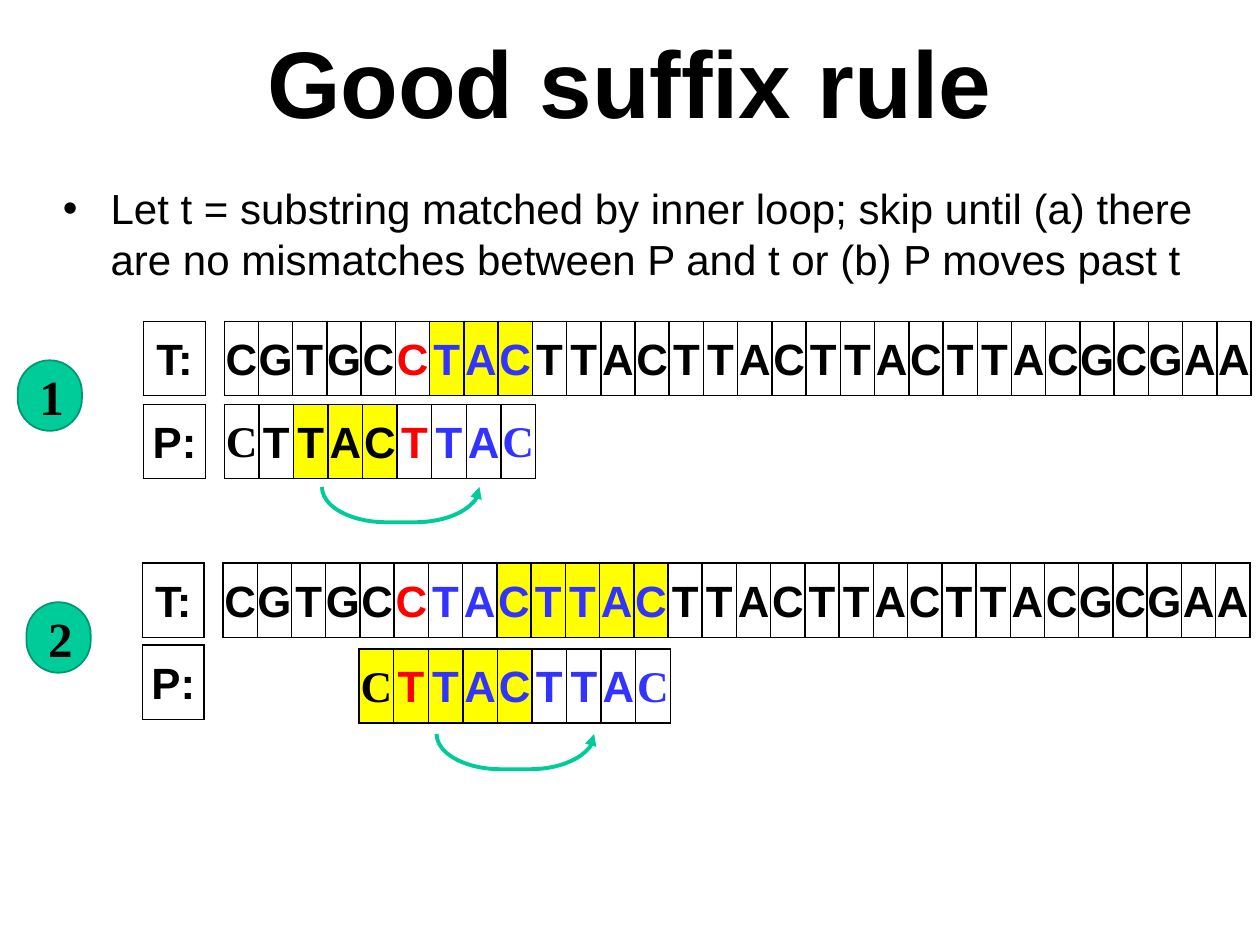
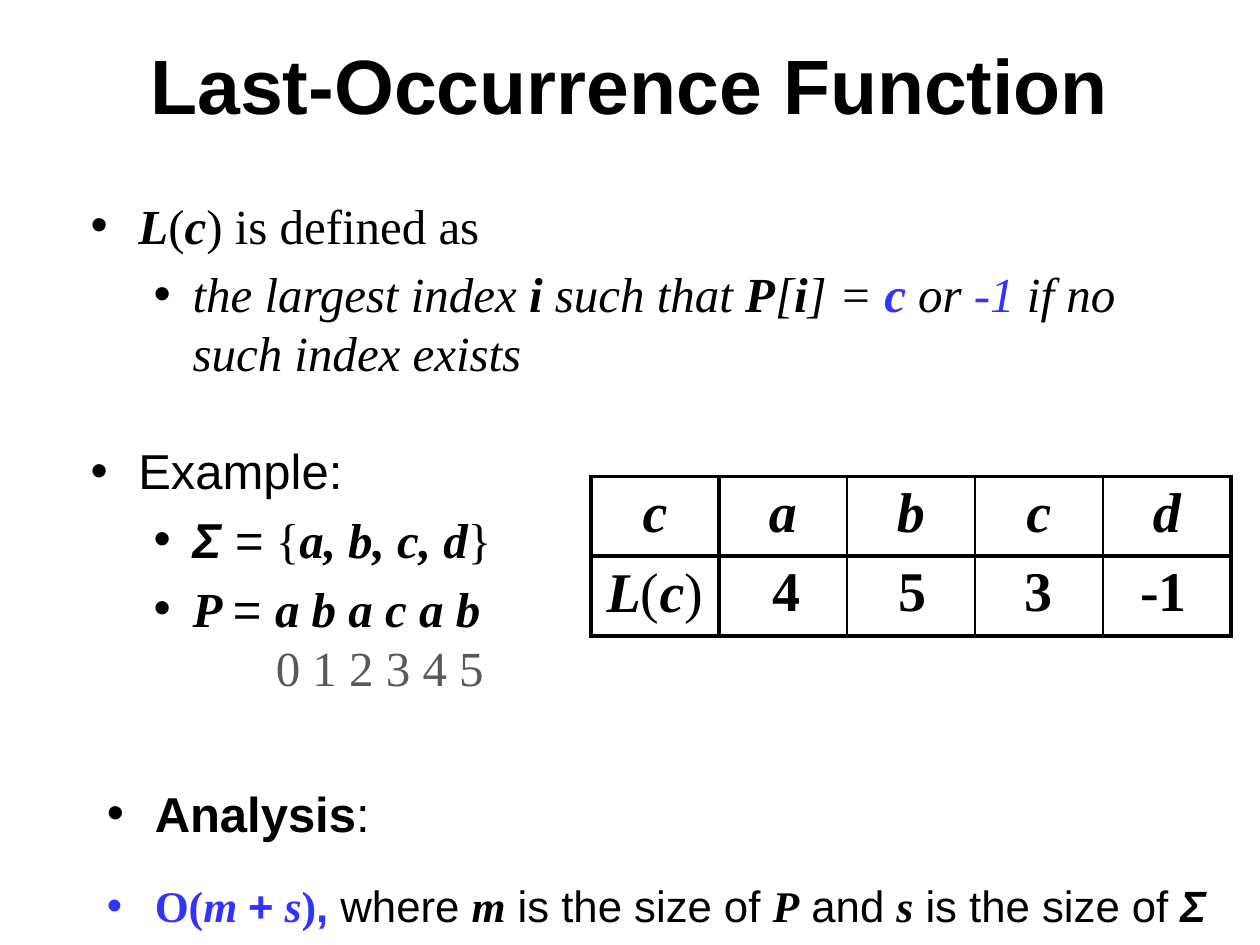
from dataclasses import dataclass

from lxml.etree import SubElement
from pptx import Presentation
from pptx.dml.color import RGBColor
from pptx.enum.shapes import MSO_SHAPE
from pptx.enum.text import MSO_ANCHOR, PP_ALIGN
from pptx.oxml import parse_xml
from pptx.oxml.ns import nsdecls, qn
from pptx.util import Inches, Pt


@dataclass(frozen=True)
class Theme:
    sans: str = "Arial"
    serif: str = "Times New Roman"
    black: str = "000000"
    red: str = "FF0000"
    blue: str = "3333FF"
    grey: str = "595959"
    yellow: str = "FFFF00"
    green: str = "00CC99"
    rim: str = "009771"
    head: int = 54
    title: int = 44
    value: int = 32
    body: int = 28
    small: int = 25
    note: int = 24
    thin: float = 1
    thick: float = 2.25


THEME = Theme()
# Bullet levels: left margin and first-line indent
LEVELS = [(0.38, -0.38), (0.81, -0.31)]


class Deck:
    def __init__(self, theme):
        self.theme = theme
        self.show = Presentation()
        self.show.slide_width, self.show.slide_height = Inches(10), Inches(7.5)
        # Letters used to mark the ink of a run or a table cell
        self.inks = {"k": theme.black, "r": theme.red,
                     "u": theme.blue, "g": theme.grey}

    def page(self):
        self.slide = self.show.slides.add_slide(self.show.slide_layouts[6])

    def style(self, run, size, marks=""):
        """Marks: b bold, i italic, s serif, and an ink letter."""
        font = run.font
        font.size, font.bold, font.italic = Pt(size), "b" in marks, "i" in marks
        font.name = self.theme.serif if "s" in marks else self.theme.sans
        ink = next((self.inks[m] for m in marks if m in self.inks),
                   self.theme.black)
        font.color.rgb = RGBColor.from_string(ink)

    def fill_in(self, para, parts, size):
        for text, marks in parts:
            run = para.add_run()
            run.text = text
            self.style(run, size, marks)

    def box(self, left, top, width, height, wrap=True):
        shape = self.slide.shapes.add_textbox(
            Inches(left), Inches(top), Inches(width), Inches(height))
        shape.text_frame.word_wrap = wrap
        return shape.text_frame

    def title(self, text, size, left, top, width, height):
        frame = self.box(left, top, width, height)
        frame.vertical_anchor = MSO_ANCHOR.MIDDLE
        frame.text = text
        para = frame.paragraphs[0]
        para.alignment = PP_ALIGN.CENTER
        self.style(para.runs[0], size, "b")

    def label(self, text, left, top, width, height):
        frame = self.box(left, top, width, height, wrap=False)
        frame.text = text
        self.style(frame.paragraphs[0].runs[0], self.theme.value, "bs")

    def bullet(self, para, level):
        props = para._p.get_or_add_pPr()
        margin, indent = LEVELS[level]
        props.set("marL", str(Inches(margin)))
        props.set("indent", str(Inches(indent)))
        SubElement(props, qn("a:buFont")).set("typeface", self.theme.sans)
        SubElement(props, qn("a:buChar")).set("char", "•")
        para.level = level

    def points(self, items, left, top, width, height):
        """Each item: level, size, space before and its runs."""
        frame = self.box(left, top, width, height)
        for num, (level, size, gap, parts) in enumerate(items):
            para = frame.add_paragraph() if num else frame.paragraphs[0]
            self.bullet(para, level)
            if num:
                para.space_before = Pt(gap)
            self.fill_in(para, parts, size)
        return frame

    def edge(self, cell, sides):
        """Sides: line widths for left, right, top and bottom."""
        props = cell._tc.get_or_add_tcPr()
        for spot, (side, width) in enumerate(zip("LRTB", sides)):
            props.insert(spot, parse_xml(
                f'<a:ln{side} {nsdecls("a")} w="{Pt(width)}"><a:solidFill>'
                f'<a:srgbClr val="{self.theme.black}"/></a:solidFill>'
                f'</a:ln{side}>'))

    def grid(self, rows, cols, left, top, width, height):
        table = self.slide.shapes.add_table(
            rows, cols, Inches(left), Inches(top),
            Inches(width), Inches(height)).table
        table.first_row = table.horz_banding = False
        for col in table.columns:
            col.width = Inches(width / cols)
        for cell in table.iter_cells():
            cell.fill.background()
        return table

    def strand(self, left, top, width, cells, inks="", lit=(), serif=()):
        """One row of boxed letters with an ink mask and lit cells."""
        table = self.grid(1, len(cells), left, top, width, 0.59)
        for num, (cell, text) in enumerate(zip(table.iter_cells(), cells)):
            cell.text = text
            cell.vertical_anchor = MSO_ANCHOR.MIDDLE
            cell.margin_left = cell.margin_right = 0
            cell.margin_top = cell.margin_bottom = 0
            para = cell.text_frame.paragraphs[0]
            para.alignment = PP_ALIGN.CENTER
            para.line_spacing, para.space_after = 1.07, Pt(8)
            marks = "b" + inks[num:num + 1] + ("s" if num in serif else "")
            self.style(para.runs[0], self.theme.small, marks)
            if num in lit:
                cell.fill.solid()
                cell.fill.fore_color.rgb = RGBColor.from_string(
                    self.theme.yellow)
            self.edge(cell, [self.theme.thin] * 4)

    def shape(self, kind, box, bend, line, width):
        shape = self.slide.shapes.add_shape(kind, *map(Inches, box))
        shape.shadow.inherit = False
        shape.adjustments[0] = bend
        shape.line.color.rgb = RGBColor.from_string(line)
        shape.line.width = Pt(width)
        return shape

    def badge(self, text, left, top):
        shape = self.shape(MSO_SHAPE.ROUNDED_RECTANGLE, (left, top, 0.51, 0.56),
                           0.5, self.theme.rim, self.theme.thin)
        shape.fill.solid()
        shape.fill.fore_color.rgb = RGBColor.from_string(self.theme.green)
        frame = shape.text_frame
        frame.text = text
        frame.vertical_anchor = MSO_ANCHOR.MIDDLE
        frame.paragraphs[0].alignment = PP_ALIGN.CENTER
        self.style(frame.paragraphs[0].runs[0], self.theme.body, "bs")

    def hop(self, left, top):
        """Curved arrow that shows the shift of the pattern."""
        shape = self.shape(MSO_SHAPE.RIGHT_BRACKET, (left, top, 0.28, 1.25),
                           1.825, self.theme.green, self.theme.thick)
        shape.rotation = 90
        shape.fill.background()
        line = shape.element.spPr.find(qn("a:ln"))
        SubElement(line, qn("a:headEnd")).set("type", "triangle")


def suffix(deck):
    theme = deck.theme
    deck.page()
    deck.title("Good suffix rule", theme.head, 0.4, 0.14, 9.19, 1)
    deck.points([(0, theme.note, 0, [(
        "Let t = substring matched by inner loop; skip until (a) there are no "
        "mismatches between P and t or (b) P moves past t", "")])],
        0.4, 1.4, 9.36, 1.12)

    text, word = "CGTGCCTACTTACTTACTTACTTACGCGAA", "CTTACTTAC"
    ends = (0, len(word) - 1)
    # Step: left of names, top of T, place of P, top of P name, inks, lit cells
    steps = [
        (1.14, 2.55, (1.78, 3.21), 3.21, "kkkkkruuu", range(6, 9),
         "kkkkkruuu", range(2, 5)),
        (1.13, 4.47, (2.85, 5.15), 5.12, "kkkkkruuuuuuu", range(8, 13),
         "kruuuuuuu", range(5)),
    ]
    for left, top, spot, low, ink, lit, pink, plit in steps:
        deck.strand(left + 0.64, top, 8.16, text, ink, lit)
        deck.strand(*spot, 2.47, word, pink, plit, ends)
        deck.strand(left, top, 0.49, ["T:"])
        deck.strand(left, low, 0.49, ["P:"])
    deck.badge("1", 0.14, 2.86)
    deck.badge("2", 0.21, 4.78)
    deck.hop(3.04, 3.38)
    deck.hop(3.95, 5.34)


def last(deck):
    theme = deck.theme
    size, gap = theme.body, theme.body * 0.2
    deck.page()
    deck.title("Last-Occurrence Function", theme.title, 0.75, 0.04, 8.5, 1.25)

    # Example
    frame = deck.points([
        (0, size, gap, [("Example:", "")]),
        (1, size, gap, [("Σ ", "bi"), ("=", ""), (" {", "s"),
                        ("a, b, c, d", "bis"), ("}", "s")]),
        (1, size, gap, [("P ", "bis"), ("= ", ""), ("a b a c a b", "bis")]),
    ], 0.62, 3.45, 3.92, 2.09)
    para = frame.add_paragraph()
    para._p.get_or_add_pPr().set("marL", str(Inches(1.47)))
    deck.fill_in(para, [("0 1 2 3 4 5", "sg")], size)

    # Table of last places
    heads = [[(name, "bis")] for name in "cabcd"]
    name = [("L", "bis"), ("(", "s"), ("c", "bis"), (")", "s")]
    table = deck.grid(2, 5, 4.69, 3.78, 5.08, 1.2)
    lines = [theme.thick if num in (0, 1, 5) else theme.thin
             for num in range(6)]
    for row, texts in enumerate([heads, [name]]):
        for col in range(5):
            cell = table.cell(row, col)
            if col < len(texts):
                para = cell.text_frame.paragraphs[0]
                para.alignment = PP_ALIGN.CENTER
                deck.fill_in(para, texts[col], theme.value)
            deck.edge(cell, [lines[col], lines[col + 1],
                             theme.thick, theme.thick])
    for num, value in enumerate(["4", "5", "3"]):
        deck.label(value, 6.03 + num, 4.36, 0.43, 0.64)
    deck.label("-1", 8.95, 4.36, 0.58, 0.64)

    # Definition
    deck.points([
        (0, size, gap, [("L", "bis"), ("(", "s"), ("c", "bis"),
                        (") is defined as", "s")]),
        (1, size, gap, [("the largest index ", "is"), ("i", "bis"),
                        (" such that ", "is"), ("P", "bis"), ("[", "is"),
                        ("i", "bis"), ("] = ", "is"), ("c ", "bisu"),
                        ("or ", "is"), ("-1", "isu"),
                        (" if no such index exists", "is")]),
    ], 0.62, 1.5, 8.58, 1.52)

    # Analysis
    deck.points([
        (0, size, gap, [("Analysis", "b"), (":", "")]),
        (0, theme.small, 21, [
            ("O(", "bsu"), ("m ", "bisu"), ("+", "bu"), (" s", "bisu"),
            (")", "bsu"), (",", "bu"), (" where ", ""), ("m", "bis"),
            (" is the size of ", ""), ("P", "bis"), (" and ", ""),
            ("s", "bis"), (" is the size of ", ""), ("Σ", "bi")]),
    ], 0.75, 6.17, 9.15, 1.18)


def main():
    deck = Deck(THEME)
    suffix(deck)
    last(deck)
    deck.show.save("out.pptx")


if __name__ == "__main__":
    main()
